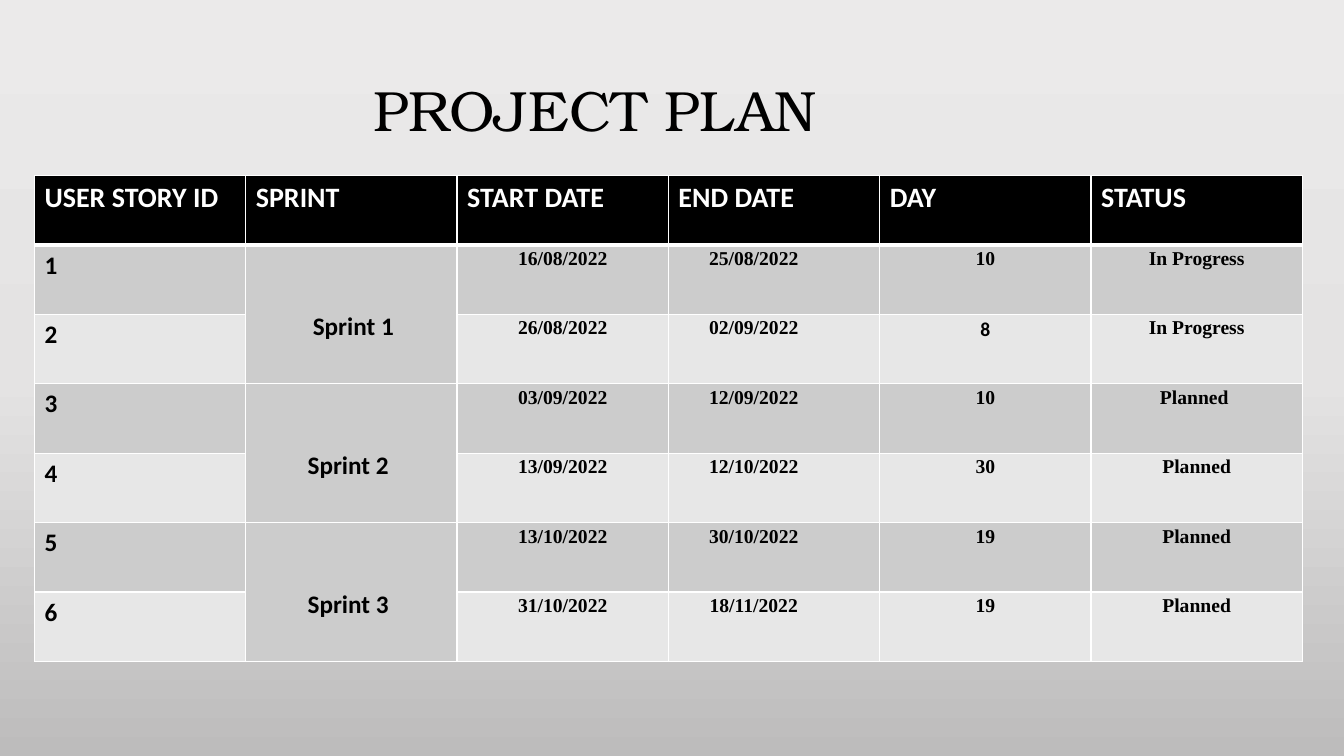
import copy
import pptx
import pptx.util
import pptx.dml.color
import pptx.enum.text
import pptx.oxml
import pptx.oxml.ns

Pt = pptx.util.Pt
ALIGN = pptx.enum.text.PP_ALIGN
ANCHOR = pptx.enum.text.MSO_ANCHOR

# Content
TITLE = "PROJECT PLAN"
HEADS = ["USER STORY ID", "SPRINT", "START DATE", "END DATE", "DAY", "STATUS"]
PLAN = [
    ("1", "16/08/2022", "25/08/2022", "10", "In Progress"),
    ("2", "26/08/2022", "02/09/2022", "8", "In Progress"),
    ("3", "03/09/2022", "12/09/2022", "10", "Planned "),
    ("4", "13/09/2022", "12/10/2022", "30", "Planned"),
    ("5", "13/10/2022", "30/10/2022", "19", "Planned"),
    ("6", "31/10/2022", "18/11/2022", "19", "Planned"),
]
SPRINTS = [("Sprint 1", 40.7), ("Sprint 2", 37), ("Sprint 3", 37)]  # name, indent
SKY = [(0, "EBEAEA"), (0.5, "E4E3E3"), (1, "BDBCBC")]
BANDS = ["CCCCCC", "E7E7E7"]

# Measures in points
LEFT, TOP, WIDE, HIGH = 24.6, 125.4, 150.95, 49.6
INSET = (7.2, 3.6, 7.2, 3.6)
TIGHT = (4.3, 2.2, 4.3, 2.2)
ENDS = (4.3, 2.2, 33.3, 2.2)  # end dates sit left of centre


def color(code):
    return pptx.dml.color.RGBColor.from_string(code)


def style(para, face, size, ink, bold):
    font = para.font
    font.name, font.size, font.bold = face, Pt(size), bold
    font.color.rgb = color(ink)


def pad(box, inset):
    box.margin_left, box.margin_top, box.margin_right, box.margin_bottom = map(Pt, inset)


def edge(cell, row):
    props = cell._tc.get_or_add_tcPr()
    for side in "LRTB":
        thick = (row, side) in [(0, "B"), (1, "T")]
        props.append(pptx.oxml.parse_xml(
            f'<a:ln{side} {pptx.oxml.ns.nsdecls("a")} w="{Pt(3 if thick else 1)}">'
            f'<a:solidFill><a:srgbClr val="FFFFFF"/></a:solidFill></a:ln{side}>'))


def write(cell, text, size, inset=INSET, face="Calibri", ink="000000", align=ALIGN.LEFT):
    cell.text = text
    pad(cell, inset)
    para = cell.text_frame.paragraphs[0]
    para.alignment = align
    style(para, face, size, ink, True)


# Slide and background
deck = pptx.Presentation()
deck.slide_width, deck.slide_height = Pt(960), Pt(540)
slide = deck.slides.add_slide(deck.slide_layouts[6])
fill = slide.background.fill
fill.gradient()
fill.gradient_angle = 270
stops = slide._element.find(".//" + pptx.oxml.ns.qn("a:gsLst"))
stops.append(copy.deepcopy(stops[0]))
for stop, (place, code) in zip(fill.gradient_stops, SKY):
    stop.position = place
    stop.color.rgb = color(code)

# Title
frame = slide.shapes.add_textbox(Pt(66), Pt(28.8), Pt(828), Pt(104.4)).text_frame
frame.word_wrap = True
frame.vertical_anchor = ANCHOR.MIDDLE
pad(frame, (201, 3.6, 7.2, 3.6))
head = frame.paragraphs[0]
head.text = TITLE
head.line_spacing = 0.9
style(head, "TeX Gyre Bonum", 40.5, "000000", False)

# Table grid
rows, cols = len(PLAN) + 1, len(HEADS)
table = slide.shapes.add_table(rows, cols, Pt(LEFT), Pt(TOP),
                               Pt(WIDE * cols), Pt(HIGH * rows)).table
for col in table.columns:
    col.width = Pt(WIDE)
for r, row in enumerate(table.rows):
    row.height = Pt(HIGH)
    for c, cell in enumerate(row.cells):
        edge(cell, r)
        cell.fill.solid()
        shade = "000000" if r == 0 else BANDS[0] if c == 1 else BANDS[(r - 1) % 2]
        cell.fill.fore_color.rgb = color(shade)

# Header and plan rows
for c, name in enumerate(HEADS):
    write(table.cell(0, c), name, 20, ink="FFFFFF")
for r, (story, *facts) in enumerate(PLAN, 1):
    write(table.cell(r, 0), story, 18)
    for c, fact in enumerate(facts, 2):
        face = "Calibri" if fact == "8" else "Times New Roman"
        write(table.cell(r, c), fact, 14, ENDS if c == 3 else TIGHT, face, align=ALIGN.CENTER)

# Sprints, two rows each
for i, (name, indent) in enumerate(SPRINTS):
    first = table.cell(1 + 2 * i, 1)
    first.merge(table.cell(2 + 2 * i, 1))
    write(first, name, 18, (7.2 + indent, 47.6, 7.2, 3.6))

deck.save("out.pptx")
